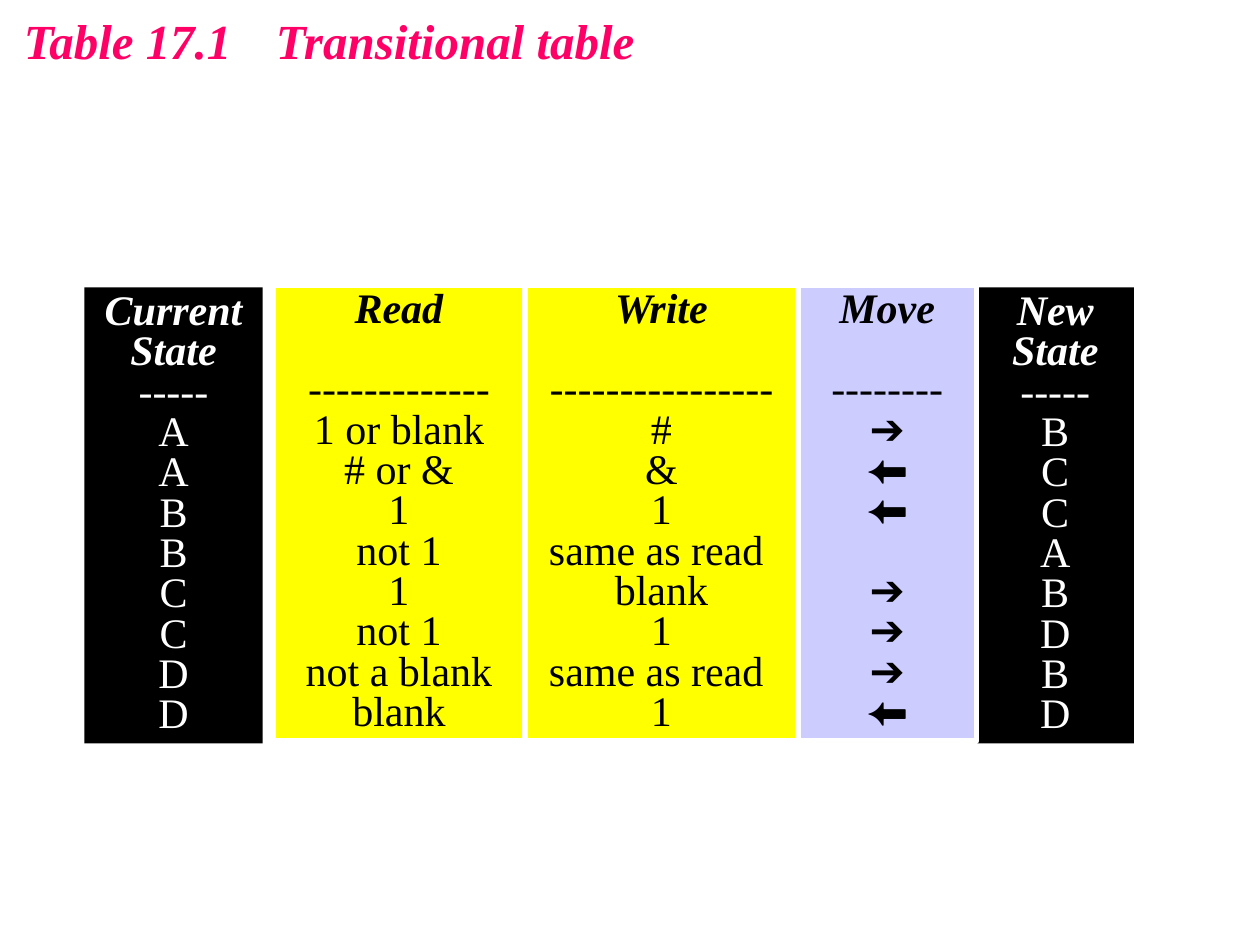
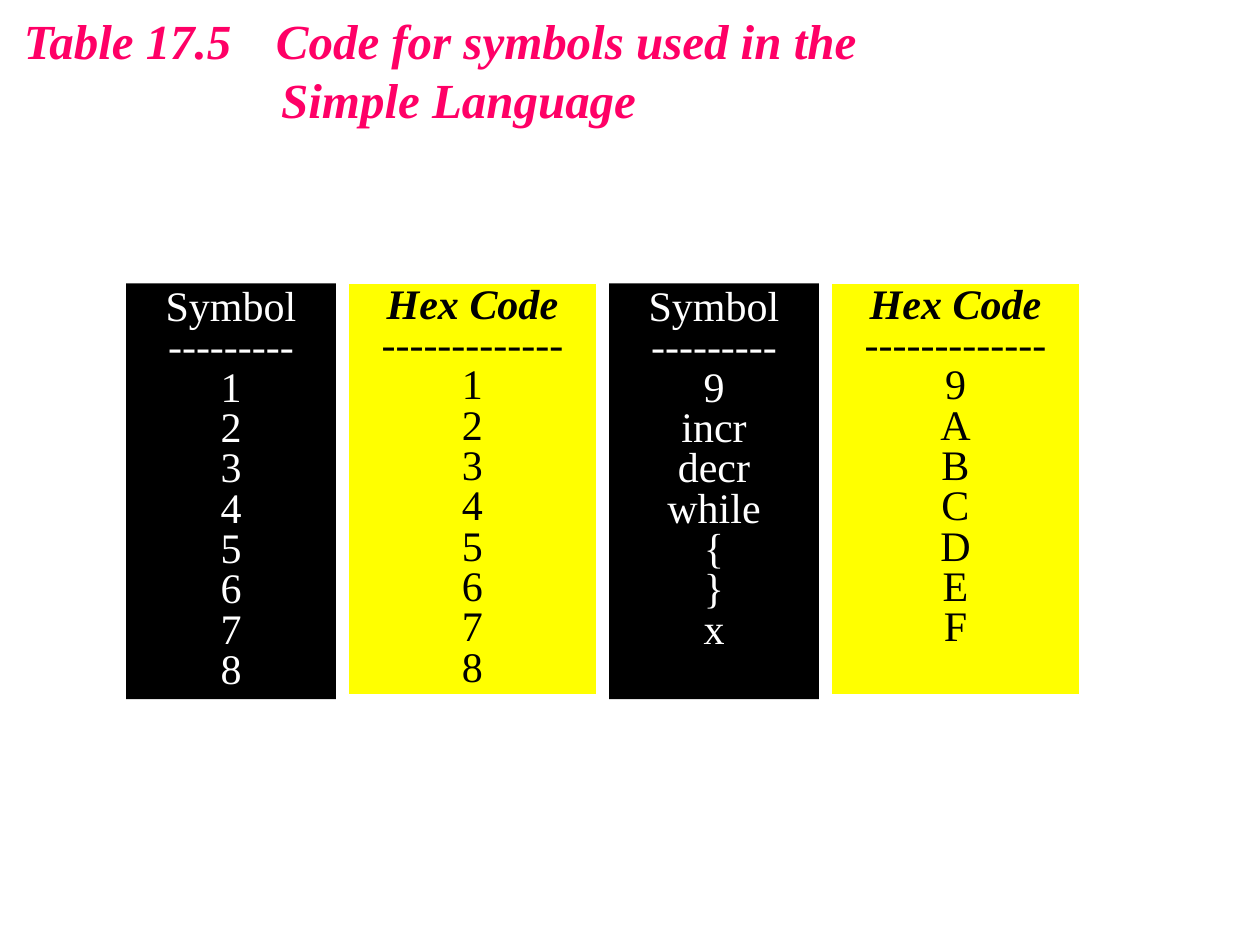
from pptx import Presentation
from pptx.dml.color import RGBColor
from pptx.enum.shapes import MSO_SHAPE
from pptx.enum.text import MSO_ANCHOR, MSO_AUTO_SIZE, PP_ALIGN
from pptx.oxml.ns import qn
from pptx.util import Pt
from lxml import etree

RECTANGLE = MSO_SHAPE.RECTANGLE
TOP = MSO_ANCHOR.TOP
FIXED = MSO_AUTO_SIZE.NONE
LEFT, CENTER = PP_ALIGN.LEFT, PP_ALIGN.CENTER

SERIF, ARROW_FONT = "Times New Roman", "Arial"
BLACK, WHITE, YELLOW, LILAC, PINK = "000000", "FFFFFF", "FFFF00", "CCCCFF", "FF0066"
RIGHT_ARROW, LEFT_ARROW = "➔", "⬅"
TITLE_SIZE, TITLE_PITCH, TITLE_TAB, TITLE_INDENT = 28, 33.7, 144, 147
BODY_SIZE, ROW_PITCH = 24, 23.04
INSET_X, INSET_Y = 7.2, 3.6
BORDER, BORDERED_RISE = 3, 1.4

# Columns: left, width, fill, bold header lines, plain header lines, entries.
# An empty string leaves one row free.
SLIDES = [
    {
        "title": ["Table 17.1\tTransitional table"],
        "title_width": 366,
        "top": 164.2,
        "rows": 11,
        "columns": [
            (48.2, 102, BLACK, ["Current", "State"], ["-----"], list("AABBCCDD")),
            (156, 144, YELLOW, ["Read", ""], ["-------------"],
             ["1 or blank", "# or &", "1", "not 1", "1", "not 1", "not a blank", "blank"]),
            (300, 156, YELLOW, ["Write", ""], ["----------------"],
             ["#", "&", "1", "same as read ", "blank", "1", "same as read ", "1"]),
            (456, 102, LILAC, ["Move", ""], ["--------"],
             [RIGHT_ARROW, LEFT_ARROW, LEFT_ARROW, "",
              RIGHT_ARROW, RIGHT_ARROW, RIGHT_ARROW, LEFT_ARROW]),
            (558, 90, BLACK, ["New", "State"], ["-----"], list("BCCABDBD")),
        ],
    },
    {
        "title": ["Table 17.5\tCode for symbols used in the", "Simple Language"],
        "title_width": 497,
        "top": 162,
        "rows": 10,
        "columns": [
            (72, 120, BLACK, [], ["Symbol", "---------"], list("12345678")),
            (198, 144, YELLOW, ["Hex Code"], ["-------------"], list("12345678")),
            (348, 120, BLACK, [], ["Symbol", "---------"],
             ["9", "incr", "decr", "while", "{", "}", "x"]),
            (474, 144, YELLOW, ["Hex Code"], ["-------------"], list("9ABCDEF")),
        ],
    },
]


def color(hex_string):
    return RGBColor.from_string(hex_string)


def set_frame(frame):
    frame.word_wrap = True
    frame.auto_size = FIXED
    frame.vertical_anchor = TOP
    frame.margin_left = frame.margin_right = Pt(INSET_X)
    frame.margin_top = frame.margin_bottom = Pt(INSET_Y)


def style(paragraph, size, pitch, text_color, align, emphasis, font=SERIF):
    """Format a paragraph; emphasis means bold italic."""
    paragraph.alignment = align
    paragraph.line_spacing = Pt(pitch)
    paragraph.space_before = paragraph.space_after = Pt(0)
    for run in paragraph.runs:
        run.font.name = font
        run.font.size = Pt(size)
        run.font.bold = run.font.italic = emphasis
        run.font.color.rgb = color(text_color)


def add_title(slide, lines, width):
    title = slide.shapes.title
    title.left, title.top = Pt(6.5), Pt(2.2)
    title.width = Pt(width)
    title.height = Pt(2 * INSET_Y + len(lines) * TITLE_PITCH)
    frame = title.text_frame
    set_frame(frame)
    frame.text = "\n".join(lines)
    for number, paragraph in enumerate(frame.paragraphs):
        style(paragraph, TITLE_SIZE, TITLE_PITCH, PINK, LEFT, True)
        properties = paragraph._p.get_or_add_pPr()
        if number:
            properties.set("marL", str(Pt(TITLE_INDENT)))
        else:
            tabs = etree.SubElement(properties, qn("a:tabLst"))
            etree.SubElement(tabs, qn("a:tab"), pos=str(Pt(TITLE_TAB)), algn="l")


def add_column(slide, top, rows, column):
    left, width, fill, bold_header, plain_header, entries = column
    bordered = fill != BLACK
    box = slide.shapes.add_shape(
        RECTANGLE, Pt(left), Pt(top - BORDERED_RISE * bordered),
        Pt(width), Pt(2 * INSET_Y + rows * ROW_PITCH))
    box.shadow.inherit = False
    box.fill.solid()
    box.fill.fore_color.rgb = color(fill)
    if bordered:
        box.line.color.rgb = color(WHITE)
        box.line.width = Pt(BORDER)
    else:
        box.line.fill.background()

    frame = box.text_frame
    set_frame(frame)
    lines = bold_header + plain_header + entries
    frame.text = "\n".join(line for line in lines if line)
    paragraphs = iter(frame.paragraphs)
    free_rows = 0
    for number, line in enumerate(lines):
        if not line:
            free_rows += 1
            continue
        paragraph = next(paragraphs)
        font = ARROW_FONT if line in (RIGHT_ARROW, LEFT_ARROW) else SERIF
        style(paragraph, BODY_SIZE, ROW_PITCH, BLACK if bordered else WHITE,
              CENTER, number < len(bold_header), font)
        paragraph.space_before = Pt(free_rows * ROW_PITCH)
        free_rows = 0


def main():
    deck = Presentation()
    deck.slide_width, deck.slide_height = Pt(720), Pt(540)
    title_only = deck.slide_layouts[5]
    for content in SLIDES:
        slide = deck.slides.add_slide(title_only)
        add_title(slide, content["title"], content["title_width"])
        # Black columns go behind the white borders of their neighbours.
        for column in sorted(content["columns"], key=lambda c: c[2] != BLACK):
            add_column(slide, content["top"], content["rows"], column)
    deck.save("out.pptx")


if __name__ == "__main__":
    main()
